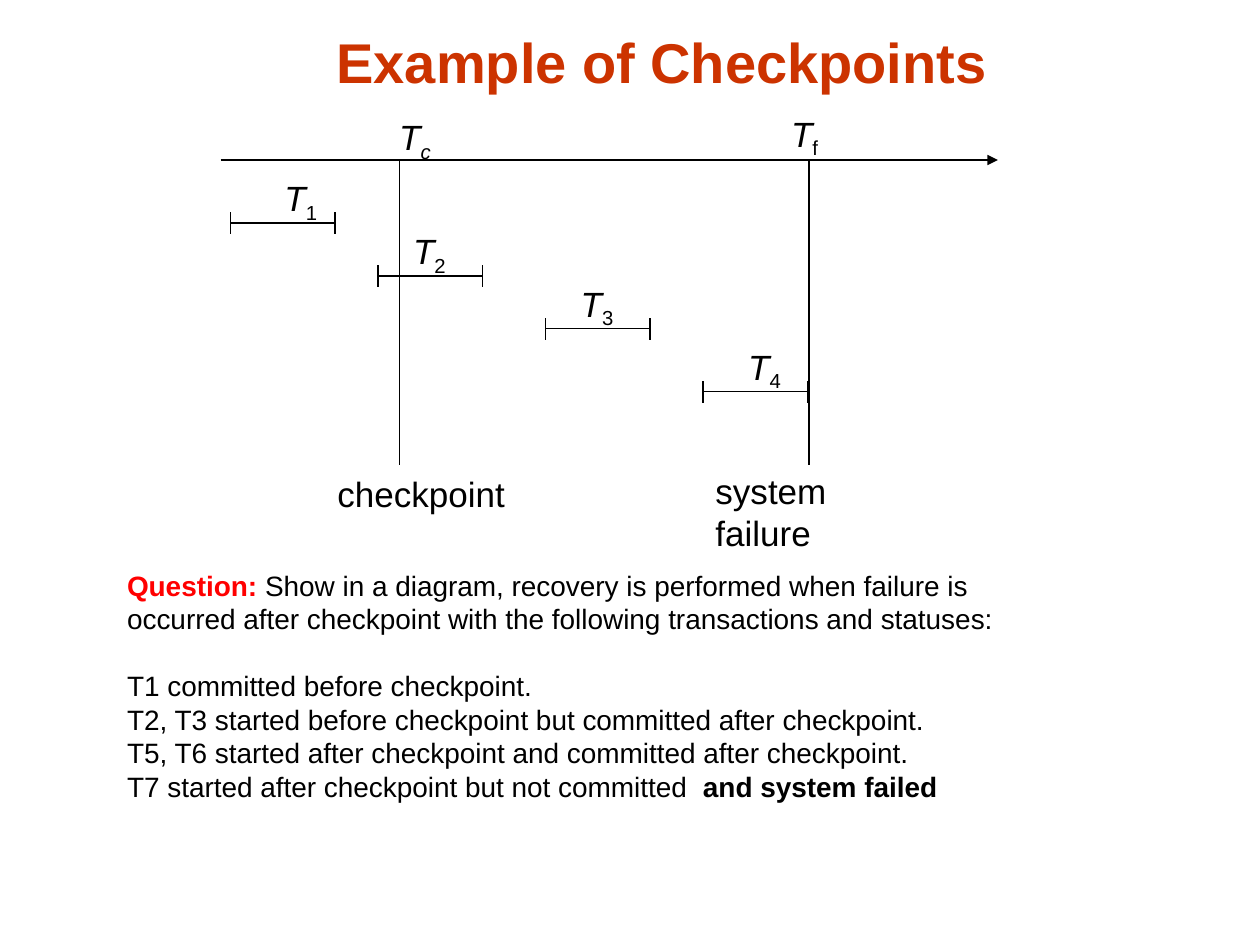
from dataclasses import dataclass

from lxml import etree
from pptx import Presentation
from pptx.dml.color import RGBColor
from pptx.enum.shapes import MSO_CONNECTOR
from pptx.enum.text import MSO_ANCHOR, PP_ALIGN
from pptx.oxml.ns import qn
from pptx.util import Inches, Pt

STRAIGHT = MSO_CONNECTOR.STRAIGHT
BOTTOM = MSO_ANCHOR.BOTTOM
CENTER = PP_ALIGN.CENTER
TITLE_ONLY = 5


@dataclass(frozen=True)
class Theme:
    font: str = "Arial"
    title: RGBColor = RGBColor(0xCC, 0x33, 0x00)
    ink: RGBColor = RGBColor(0x00, 0x00, 0x00)
    accent: RGBColor = RGBColor(0xFF, 0x00, 0x00)
    title_size: int = 32
    label_size: int = 20
    body_size: int = 16
    line_width: float = 0.75


class SlideBuilder:
    def __init__(self, slide, theme):
        self.s = slide
        self.theme = theme

    def style(self, font, size, color):
        font.name = self.theme.font
        font.size = Pt(size)
        font.color.rgb = color

    def title(self, text, left, top, width, height):
        sp = self.s.shapes.title
        sp.left, sp.top = Inches(left), Inches(top)
        sp.width, sp.height = Inches(width), Inches(height)
        tf = sp.text_frame
        tf.text = text
        tf.vertical_anchor = BOTTOM
        p = tf.paragraphs[0]
        p.alignment = CENTER
        self.style(p.font, self.theme.title_size, self.theme.title)
        p.font.bold = True

    def line(self, x1, y1, x2, y2, arrow=False):
        c = self.s.shapes.add_connector(
            STRAIGHT, Inches(x1), Inches(y1), Inches(x2), Inches(y2))
        c.line.color.rgb = self.theme.ink
        c.line.width = Pt(self.theme.line_width)
        if arrow:
            etree.SubElement(c.line._get_or_add_ln(), qn("a:tailEnd"), type="triangle")
        etree.SubElement(c._element.spPr, qn("a:effectLst"))

    def span(self, x, y, length=0.83, tick=0.17):
        self.line(x, y, x + length, y)
        for end in (x, x + length):
            self.line(end, y - tick / 2, end, y + tick / 2)

    def text_box(self, left, top, width, height, wrap=False):
        box = self.s.shapes.add_textbox(
            Inches(left), Inches(top), Inches(width), Inches(height))
        box.text_frame.word_wrap = wrap
        return box.text_frame

    def label(self, text, left, top, width):
        p = self.text_box(left, top, width, 0.44).paragraphs[0]
        p.text = text
        self.style(p.font, self.theme.label_size, self.theme.ink)

    def symbol(self, subscript, left, top, italic_subscript=False):
        p = self.text_box(left, top, 0.46, 0.48).paragraphs[0]
        self.style(p.font, self.theme.label_size, self.theme.ink)
        r = p.add_run()
        r.text = "T"
        r.font.italic = True
        r = p.add_run()
        r.text = subscript
        r.font.italic = italic_subscript
        r.font._element.set("baseline", "-25000")

    def question(self, paragraphs, left, top, width, height, gap):
        tf = self.text_box(left, top, width, height, wrap=True)
        for i, runs in enumerate(paragraphs):
            p = tf.add_paragraph() if i else tf.paragraphs[0]
            self.style(p.font, self.theme.body_size, self.theme.ink)
            if i == 1:
                p.space_before = Pt(gap)
            for text, bold, color in runs:
                r = p.add_run()
                r.text = text
                r.font.bold = bold
                r.font.color.rgb = color


def main():
    theme = Theme()
    prs = Presentation()
    prs.slide_width, prs.slide_height = Inches(10), Inches(7.5)
    slide = SlideBuilder(prs.slides.add_slide(prs.slide_layouts[TITLE_ONLY]), theme)

    slide.title("Example of Checkpoints", 0.84, 0.13, 8.83, 0.67)

    axis_y, checkpoint_x, failure_x = 1.27, 3.17, 6.42
    slide.line(1.75, axis_y, 7.92, axis_y, arrow=True)
    for x in (checkpoint_x, failure_x):
        slide.line(x, axis_y, x, 3.69)
    slide.symbol("c", 3.07, 0.87, italic_subscript=True)
    slide.symbol("f", 6.18, 0.84)

    transactions = [
        ("1", 1.83, 1.77, 2.16),
        ("2", 3.00, 2.19, 3.18),
        ("3", 4.33, 2.61, 4.51),
        ("4", 5.58, 3.11, 5.84),
    ]
    for number, start_x, y, label_x in transactions:
        slide.span(start_x, y)
        slide.symbol(number, label_x, y - 0.42)

    slide.label("checkpoint", 2.58, 3.7, 1.53)
    slide.label("system failure", 5.58, 3.68, 1.91)

    ink = theme.ink
    slide.question([
        [("Question:", True, theme.accent),
         (" Show in a diagram, recovery is performed when failure is occurred "
          "after checkpoint with the following transactions and statuses:", False, ink)],
        [("T1 committed before checkpoint.", False, ink)],
        [("T2, T3 started before checkpoint but committed after checkpoint.", False, ink)],
        [("T5, T6 started after checkpoint and committed after checkpoint.", False, ink)],
        [("T7 started after checkpoint but not committed\u00a0 ", False, ink),
         ("and system failed", True, ink)],
    ], 0.91, 4.46, 7.65, 2.5, gap=19)

    prs.save("out.pptx")


if __name__ == "__main__":
    main()
